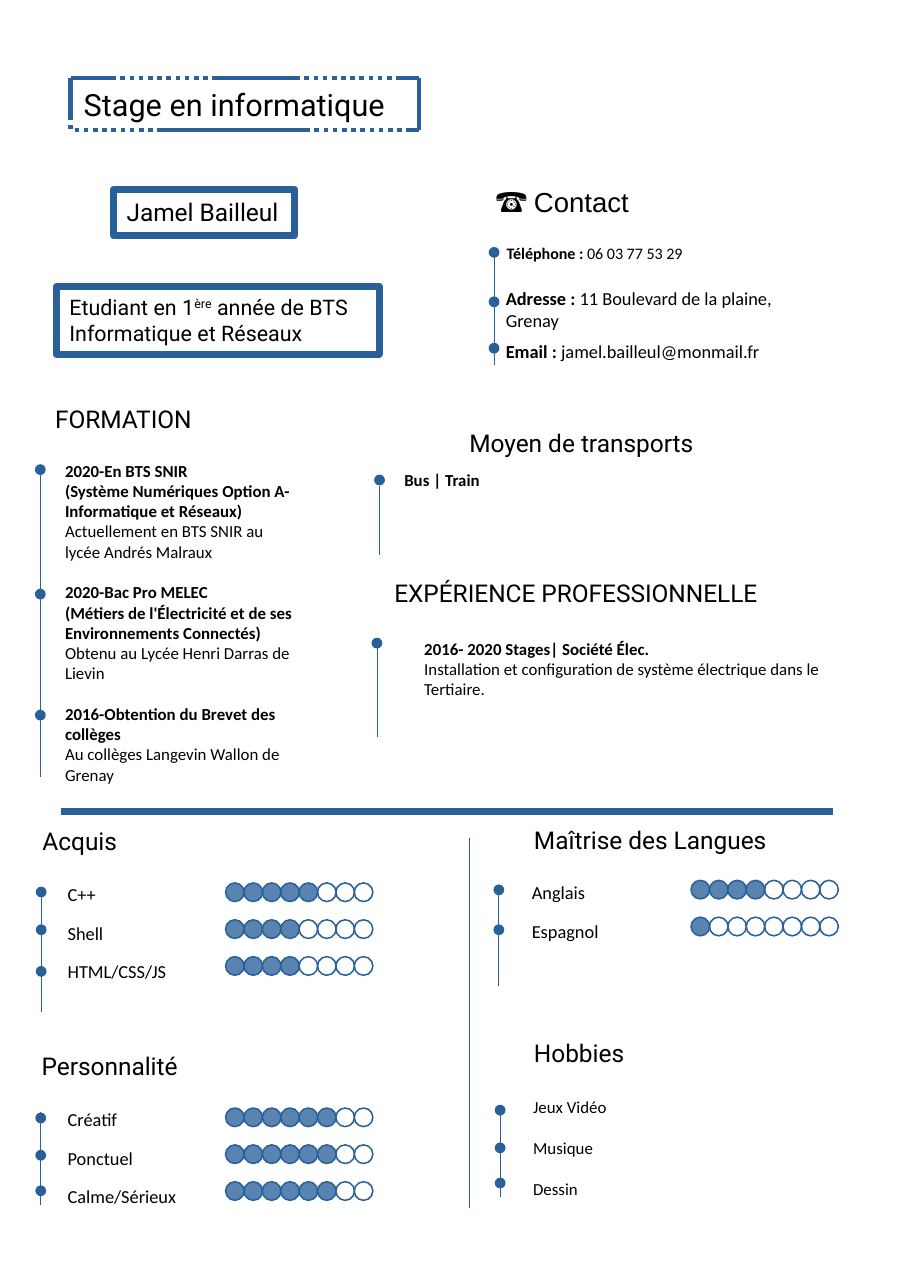
"""Build a one-page CV with timelines and skill ratings."""
from dataclasses import dataclass
from typing import Any, NamedTuple

from lxml import etree
from pptx import Presentation
from pptx.dml.color import RGBColor
from pptx.enum.shapes import MSO_CONNECTOR, MSO_SHAPE
from pptx.enum.text import MSO_ANCHOR, MSO_AUTO_SIZE, PP_ALIGN
from pptx.oxml.ns import qn
from pptx.util import Cm, Pt

STRAIGHT = MSO_CONNECTOR.STRAIGHT
OVAL, RECTANGLE = MSO_SHAPE.OVAL, MSO_SHAPE.RECTANGLE
TOP, MIDDLE = MSO_ANCHOR.TOP, MSO_ANCHOR.MIDDLE
LEFT = PP_ALIGN.LEFT
GROW = MSO_AUTO_SIZE.SHAPE_TO_FIT_TEXT

BLUE, LIGHT_BLUE, BLACK = "2A6099", "5983B0", "000000"
BULLET, CIRCLE = 0.25, 0.43
RATING_WIDTH, RATING_COUNT, RATING_PITCH = 3.39, 8, 0.85


class Span(NamedTuple):
    text: str
    bold: bool = False
    font: str = ""
    size: float = 0
    raised: bool = False


class Line(NamedTuple):
    spans: list[Span]
    before: float = 0


@dataclass
class TextBlock:
    left: float
    top: float
    width: float
    height: float
    lines: list[Line]
    font: str = "Calibri"
    size: float = 11
    spacing: float = 1
    anchor: Any = TOP


@dataclass
class Frame:
    left: float
    top: float
    width: float
    height: float
    weight: float
    size: float
    lines: list[Line]
    dashed: bool = False


@dataclass
class Timeline:
    center: float
    start: float
    end: float
    bullets: list[float]


@dataclass
class Ratings:
    left: float
    top: float
    levels: list[int]


def color(value: str) -> RGBColor:
    """Turn a hex string into a colour."""
    return RGBColor.from_string(value)


def line(text: str, bold: bool = False, before: float = 0) -> Line:
    """Make a line from a single span."""
    return Line([Span(text, bold)], before)


def heading(left: float, top: float, width: float, text: str) -> TextBlock:
    """Describe a section heading."""
    return TextBlock(left, top, width, 0.76, [line(text)], "Roboto", 16)


def skills(left: float, top: float, *names: str) -> TextBlock:
    """Describe a widely spaced list of skills."""
    lines = [line(name, before=3.6) for name in names]
    return TextBlock(left, top, 3.66, 0.95 * len(names), lines, size=12, spacing=1.5)


def write(box: Any, lines: list[Line], *, font: str, size: float, spacing: float = 1,
          anchor: Any = TOP, margins: tuple[float, float] = (0, 0), wrap: bool = True) -> None:
    """Fill a shape with formatted text."""
    frame = box.text_frame
    frame.word_wrap, frame.vertical_anchor = wrap, anchor
    if not wrap:
        frame.auto_size = GROW
    frame.margin_left = frame.margin_right = Cm(margins[0])
    frame.margin_top = frame.margin_bottom = Cm(margins[1])
    for index, item in enumerate(lines):
        para = frame.add_paragraph() if index else frame.paragraphs[0]
        para.alignment, para.line_spacing = LEFT, spacing
        para.space_before = Pt(item.before)
        for part in item.spans:
            span = para.add_run()
            span.text = part.text
            span.font.name, span.font.size = part.font or font, Pt(part.size or size)
            span.font.bold, span.font.color.rgb = part.bold, color(BLACK)
            if part.raised:
                span._r.get_or_add_rPr().set("baseline", "33000")


def draw_text(page: Any, block: TextBlock) -> None:
    """Draw a text box without margins."""
    box = page.shapes.add_textbox(Cm(block.left), Cm(block.top), Cm(block.width), Cm(block.height))
    write(box, block.lines, font=block.font, size=block.size, spacing=block.spacing, anchor=block.anchor)


def draw_shape(page: Any, kind: Any, left: float, top: float, width: float, height: float,
               fill: str = "", weight: float = 0) -> Any:
    """Draw a preset shape with optional fill and outline."""
    shape = page.shapes.add_shape(kind, Cm(left), Cm(top), Cm(width), Cm(height))
    shape.shadow.inherit = False
    if fill:
        shape.fill.solid()
        shape.fill.fore_color.rgb = color(fill)
    else:
        shape.fill.background()
    if weight:
        shape.line.color.rgb, shape.line.width = color(BLUE), Pt(weight)
    else:
        shape.line.fill.background()
    return shape


def draw_rule(page: Any, start: tuple[float, float], end: tuple[float, float], weight: float = 0.5) -> None:
    """Draw a straight blue line."""
    rule = page.shapes.add_connector(STRAIGHT, *map(Cm, start + end))
    rule.line.color.rgb, rule.line.width = color(BLUE), Pt(weight)
    etree.SubElement(rule._element.spPr, qn("a:effectLst"))


def draw_frame(page: Any, frame: Frame) -> None:
    """Draw an outlined text frame, dashed on request."""
    box = draw_shape(page, RECTANGLE, frame.left, frame.top, frame.width, frame.height, weight=frame.weight)
    if frame.dashed:
        pattern = etree.SubElement(box.line._get_or_add_ln(), qn("a:custDash"))
        for length in [1900000] + [100000] * 10:
            etree.SubElement(pattern, qn("a:ds"), d=str(length), sp="100000")
    write(box, frame.lines, font="Roboto", size=frame.size, margins=(0.3, 0.18), wrap=False)


def draw_timeline(page: Any, timeline: Timeline) -> None:
    """Draw a vertical line with bullets centred on it."""
    draw_rule(page, (timeline.center, timeline.start), (timeline.center, timeline.end))
    for middle in timeline.bullets:
        draw_shape(page, OVAL, timeline.center - BULLET / 2, middle - BULLET / 2, BULLET, BULLET, BLUE)


def draw_ratings(page: Any, ratings: Ratings) -> None:
    """Draw rows of circles filled up to each level."""
    for row, level in enumerate(ratings.levels):
        for column in range(RATING_COUNT):
            draw_shape(page, OVAL, ratings.left + column * RATING_WIDTH / RATING_COUNT,
                       ratings.top + row * RATING_PITCH, CIRCLE, CIRCLE,
                       LIGHT_BLUE if column < level else "", 1)


FRAMES = [
    Frame(1.63, 1.8, 8.03, 1.2, 3, 20, [line("Stage en informatique")], True),
    Frame(2.62, 4.37, 4.17, 1.07, 4.5, 16, [line("Jamel Bailleul")]),
    Frame(1.3, 6.6, 7.44, 1.57, 4.5, 14, [
        Line([Span("Etudiant en 1"), Span("ère", raised=True), Span(" année de BTS")]),
        line("Informatique et Réseaux")]),
]
TEXTS = [
    TextBlock(11.43, 4.19, 4.83, 0.84, [Line([Span("☎ ", size=20), Span("Contact", font="Arial")])],
              size=18, anchor=MIDDLE),
    TextBlock(11.68, 5.61, 5.5, 0.46, [Line([Span("Téléphone :", True), Span(" 06 03 77 53 29")])], size=10.5),
    TextBlock(11.66, 6.63, 6.35, 1.02,
              [Line([Span("Adresse : ", True), Span("11 Boulevard de la plaine, Grenay")])], size=12),
    TextBlock(11.66, 7.85, 6.5, 0.51,
              [Line([Span("Email :", True), Span(" jamel.bailleul@monmail.fr")])], size=12),
    heading(1.27, 9.32, 4, "FORMATION"),
    TextBlock(1.5, 10.62, 5.28, 8.38, [
        line("2020-En BTS SNIR", True),
        line("(Système Numériques Option A- Informatique et Réseaux)", True),
        line("Actuellement en BTS SNIR au lycée Andrés Malraux"),
        line("2020-Bac Pro MELEC", True, 13.4),
        line("(Métiers de l'Électricité et de ses Environnements Connectés)", True),
        line("Obtenu au Lycée Henri Darras de Lievin"),
        line("2016-Obtention du Brevet des collèges", True, 13.4),
        line("Au collèges Langevin Wallon de Grenay")]),
    heading(10.82, 9.88, 6, "Moyen de transports"),
    TextBlock(9.32, 10.82, 10.9, 0.46, [line("Bus | Train", True)]),
    heading(9.09, 13.34, 9, "EXPÉRIENCE PROFESSIONNELLE"),
    TextBlock(9.78, 14.73, 10.9, 1.4, [
        line("2016- 2020 Stages| Société Élec.", True),
        line("Installation et configuration de système électrique dans le"),
        line("Tertiaire.")]),
    heading(0.98, 19.05, 5.25, "Acquis"),
    skills(1.56, 20.12, "C++", "Shell", "HTML/CSS/JS"),
    heading(12.31, 19.02, 7.3, "Maîtrise des Langues"),
    skills(12.26, 20.07, "Anglais", "Espagnol"),
    heading(0.96, 24.23, 5.25, "Personnalité"),
    skills(1.56, 25.3, "Créatif", "Ponctuel", "Calme/Sérieux"),
    heading(12.31, 23.93, 5.25, "Hobbies"),
    TextBlock(12.29, 25.3, 4, 2.8,
              [line("Jeux Vidéo"), line("Musique", before=13.4), line("Dessin", before=13.4)]),
]
TIMELINES = [
    Timeline(11.39, 5.92, 8.41, [5.82, 6.96, 8.03]),
    Timeline(0.93, 10.95, 17.91, [10.83, 13.7, 16.49]),
    Timeline(8.75, 11.2, 12.8, [11.07]),
    Timeline(8.69, 14.71, 16.99, [14.83]),
    Timeline(0.95, 20.52, 23.34, [20.57, 21.44, 22.4]),
    Timeline(11.5, 20.6, 22.73, [20.52, 21.44]),
    Timeline(0.94, 25.65, 27.79, [25.78, 26.64, 27.46]),
    Timeline(11.53, 25.48, 27.61, [25.6, 26.47, 27.28]),
]
RATINGS = [Ratings(5.2, 20.36, [5, 4, 4]), Ratings(15.93, 20.3, [4, 1]), Ratings(5.2, 25.55, [6, 6, 6])]


def main() -> None:
    """Assemble and save the page."""
    deck = Presentation()
    deck.slide_width, deck.slide_height = Cm(21), Cm(29.7)
    page = deck.slides.add_slide(deck.slide_layouts[6])
    for draw, items in ((draw_frame, FRAMES), (draw_text, TEXTS),
                        (draw_timeline, TIMELINES), (draw_ratings, RATINGS)):
        for item in items:
            draw(page, item)
    draw_rule(page, (1.4, 18.72), (19.2, 18.72), 4.5)
    draw_rule(page, (10.82, 19.33), (10.82, 27.86))
    deck.save("out.pptx")


if __name__ == "__main__":
    main()
